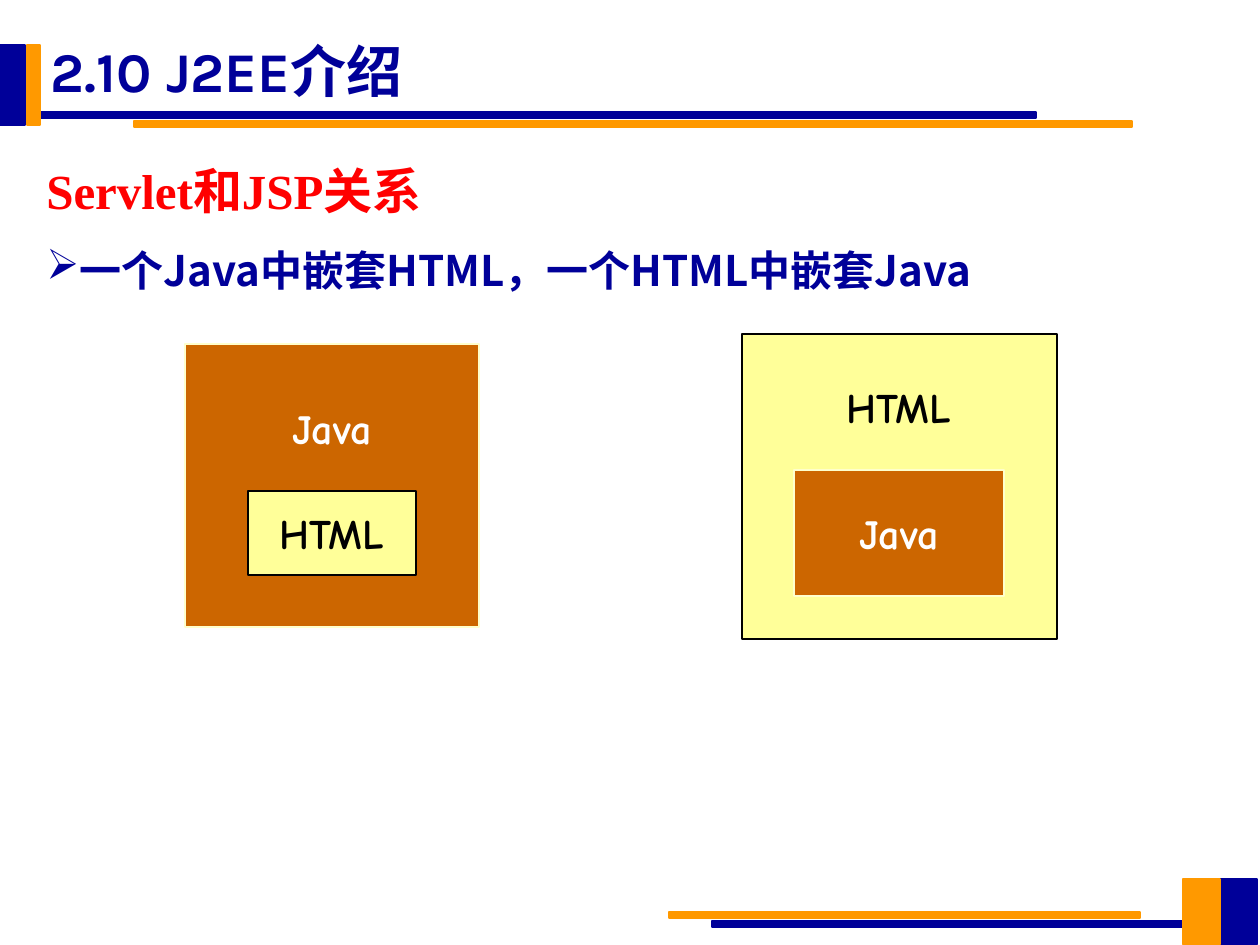
"""Builds the slide on how Servlet and JSP nest Java and HTML."""
from lxml import etree
from pptx import Presentation
from pptx import util as u
from pptx.dml.color import RGBColor
from pptx.enum import shapes, text
from pptx.oxml.ns import qn

PX = 914400 // 126
COLORS = {"navy": "000099", "orange": "FF9900", "brown": "CC6600", "cream": "FFFFCC",
          "yellow": "FFFF99", "black": "000000", "white": "FFFFFF", "red": "FF0000"}
CJK = "Noto Sans CJK SC"

TITLE = "2.10 J2EE介绍"
BODY = [
    ("Servlet和JSP关系", 28, "Times New Roman", "red", None),
    ("一个Java中嵌套HTML，一个HTML中嵌套Java", 24, CJK, "navy", "➢"),
]
BARS = [
    ("navy", (1220, 879, 37, 66)),
    ("orange", (669, 912, 471, 6)),
    ("navy", (712, 921, 471, 6)),
    ("orange", (1183, 879, 37, 66)),
    ("navy", (38, 112, 998, 6)),
    ("orange", (134, 121, 998, 6)),
    ("navy", (0, 45, 25, 80)),
    ("orange", (27, 45, 13, 80)),
]
STYLES = {"Java": ("brown", "cream", "white"), "HTML": ("yellow", "black", "black")}
NESTS = [
    {"outer": "Java", "frame": (185, 344, 294, 283), "label": (227, 365, 210, 126),
     "inner": "HTML", "core": (248, 491, 168, 84)},
    {"outer": "HTML", "frame": (742, 334, 315, 305), "label": (815, 375, 168, 63),
     "inner": "Java", "core": (794, 470, 210, 126)},
]


def emu(area):
    return [value * PX for value in area]


def color(name):
    return RGBColor.from_string(COLORS[name])


def add_rect(page, area, fill, line):
    rect = page.shapes.add_shape(shapes.MSO_SHAPE.RECTANGLE, *emu(area))
    rect.shadow.inherit = False
    rect.fill.solid()
    rect.fill.fore_color.rgb = color(fill)
    rect.line.color.rgb = color(line)
    rect.line.width = u.Pt(0.75)
    return rect


def style(para, size, face, ink):
    for span in para.runs:
        span.font.size = u.Pt(size)
        span.font.bold = True
        span.font.name = face
        span.font.color.rgb = color(ink)
        east = etree.Element(qn("a:ea"), typeface=CJK)
        span.font._element.find(qn("a:latin")).addnext(east)


def write_label(box, word):
    frame = box.text_frame
    frame.word_wrap = False
    frame.vertical_anchor = text.MSO_ANCHOR.MIDDLE
    frame.text = word
    para = frame.paragraphs[0]
    para.alignment = text.PP_ALIGN.CENTER
    style(para, 24, "Comic Neue", STYLES[word][2])


def add_bullet(para, mark, ink):
    props = para._p.get_or_add_pPr()
    props.set("marL", "0")
    props.set("indent", "0")
    tint = etree.SubElement(props, qn("a:buClr"))
    etree.SubElement(tint, qn("a:srgbClr"), val=COLORS[ink])
    etree.SubElement(props, qn("a:buChar"), char=mark)


def add_title(page):
    title = page.shapes.title
    title.left, title.top, title.width, title.height = emu((38, 26, 1216, 88))
    frame = title.text_frame
    frame.text = TITLE
    frame.vertical_anchor = text.MSO_ANCHOR.MIDDLE
    frame.paragraphs[0].alignment = text.PP_ALIGN.LEFT
    style(frame.paragraphs[0], 32, "Karla", "navy")


def add_body(page):
    frame = page.shapes.add_textbox(*emu((34, 125, 1201, 176))).text_frame
    frame.word_wrap = True
    frame.auto_size = text.MSO_AUTO_SIZE.SHAPE_TO_FIT_TEXT
    frame.text = "\n".join(row[0] for row in BODY)
    for para, (_, size, face, ink, mark) in zip(frame.paragraphs, BODY):
        if mark:
            add_bullet(para, mark, ink)
        para.alignment = text.PP_ALIGN.JUSTIFY
        para.line_spacing = 1.5
        style(para, size, face, ink)


def add_nest(page, nest):
    add_rect(page, nest["frame"], *STYLES[nest["outer"]][:2])
    write_label(page.shapes.add_textbox(*emu(nest["label"])), nest["outer"])
    core = add_rect(page, nest["core"], *STYLES[nest["inner"]][:2])
    write_label(core, nest["inner"])


def main():
    deck = Presentation()
    deck.slide_width, deck.slide_height = u.Inches(10), u.Inches(7.5)
    page = deck.slides.add_slide(deck.slide_layouts[5])
    for tint, area in BARS:
        add_rect(page, area, tint, tint)
    for nest in NESTS:
        add_nest(page, nest)
    add_title(page)
    add_body(page)
    deck.save("out.pptx")


if __name__ == "__main__":
    main()
